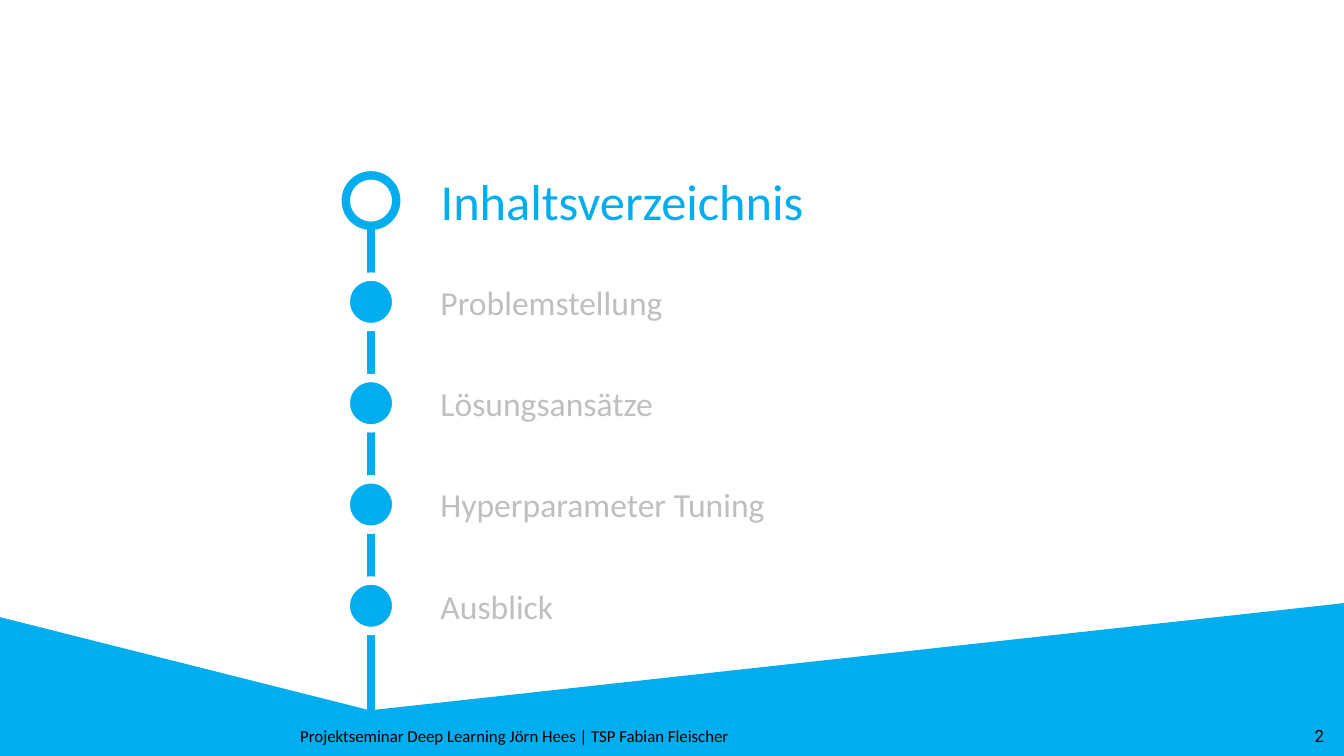
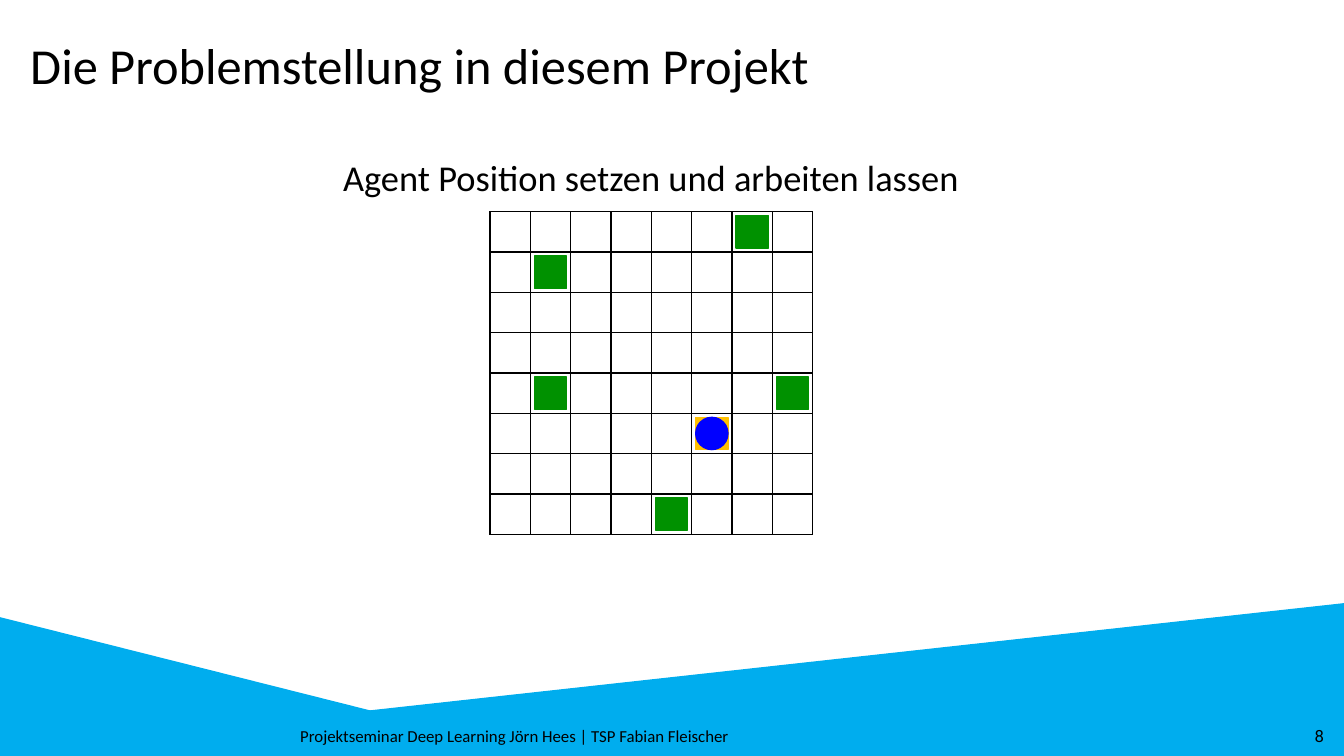
from dataclasses import dataclass

from lxml import etree
from pptx import Presentation
from pptx.dml.color import RGBColor
from pptx.enum import shapes, text
from pptx.oxml import ns
from pptx.util import Inches, Pt


@dataclass(frozen=True)
class Theme:
    blue: str = "00ADEE"
    white: str = "FFFFFF"
    black: str = "000000"
    grey: str = "BFBFBF"
    green: str = "009100"
    amber: str = "FFC000"
    agent: str = "0000FF"
    font: str = "Calibri"
    number_font: str = "Roboto"
    title: int = 36
    caption: int = 26
    entry: int = 24
    footer: int = 12


theme = Theme()
preset = shapes.MSO_SHAPE
align = text.PP_ALIGN
anchor = text.MSO_ANCHOR


def add_filled(slide, kind, box, fill, line=None, width=1):
    shape = slide.shapes.add_shape(kind, *map(Inches, box))
    shape.shadow.inherit = False
    shape.fill.solid()
    shape.fill.fore_color.rgb = RGBColor.from_string(fill)
    shape.line.color.rgb = RGBColor.from_string(line or fill)
    shape.line.width = Pt(width)
    return shape


def write_text(shape, box, words, size, color, alignment=align.LEFT,
               vertical=anchor.TOP, font=theme.font):
    shape.left, shape.top, shape.width, shape.height = map(Inches, box)
    frame = shape.text_frame
    frame.word_wrap = True
    frame.auto_size = text.MSO_AUTO_SIZE.NONE
    frame.vertical_anchor = vertical
    paragraph = frame.paragraphs[0]
    paragraph.alignment = alignment
    run = paragraph.add_run()
    run.text = words
    run.font.name = font
    run.font.size = Pt(size)
    run.font.color.rgb = RGBColor.from_string(color)


presentation = Presentation()
presentation.slide_width = Inches(13.33)
presentation.slide_height = Inches(7.5)
title_only = presentation.slide_layouts[5]

contents = presentation.slides.add_slide(title_only)
problem = presentation.slides.add_slide(title_only)

band = [
    (preset.RECTANGLE, (0, 7.11, 13.33, 0.39), False),
    (preset.RIGHT_TRIANGLE, (0, 6.13, 3.85, 0.97), False),
    (preset.RIGHT_TRIANGLE, (3.25, 5.99, 10.08, 1.11), True),
]
master_tree = presentation.slide_master.shapes.element
for index, (kind, box, flipped) in enumerate(band):
    shape = add_filled(contents, kind, box, theme.blue)
    if flipped:
        shape.element.spPr.find(ns.qn("a:xfrm")).set("flipH", "1")
    master_tree.insert(2 + index, shape.element)

pages = [
    (contents, "2", "Inhaltsverzeichnis", (4.27, 1.64, 6.68, 0.71), theme.blue),
    (problem, "8", "Die Problemstellung in diesem Projekt",
     (0.2, 0.29, 11.62, 0.71), theme.black),
]
for slide, number, title, box, color in pages:
    write_text(slide.shapes.title, box, title, theme.title, color)
    footer = slide.shapes.add_textbox(0, 0, 0, 0)
    write_text(footer, (0, 7.1, 10.21, 0.4),
               "Projektseminar Deep Learning Jörn Hees | TSP Fabian Fleischer",
               theme.footer, theme.black, align.CENTER, anchor.MIDDLE)
    page_number = slide.shapes.add_textbox(0, 0, 0, 0)
    write_text(page_number, (10.23, 7.1, 3, 0.4), number, theme.footer,
               theme.black, align.RIGHT, anchor.MIDDLE, theme.number_font)

timeline = contents.shapes.add_connector(
    shapes.MSO_CONNECTOR.STRAIGHT,
    Inches(3.68), Inches(2.24), Inches(3.68), Inches(7.23))
timeline.line.color.rgb = RGBColor.from_string(theme.blue)
timeline.line.width = Pt(6)
etree.SubElement(timeline.element.spPr, ns.qn("a:effectLst"))

marker = preset.FLOWCHART_CONNECTOR
marker_left, marker_top, marker_size, marker_step = 3.43, 1.74, 0.5, 1.005
add_filled(contents, marker, (marker_left, marker_top, marker_size, marker_size),
           theme.white, theme.blue, 6)
entries = ["Problemstellung", "Lösungsansätze", "Hyperparameter Tuning", "Ausblick"]
for index, entry in enumerate(entries, start=1):
    top = marker_top + index * marker_step
    add_filled(contents, marker, (marker_left, top, marker_size, marker_size),
               theme.blue, theme.white, 6)
    label = contents.shapes.add_textbox(0, 0, 0, 0)
    write_text(label, (4.27, top, 6.68, 0.5), entry, theme.entry, theme.grey)

caption = problem.shapes.add_textbox(0, 0, 0, 0)
write_text(caption, (3.28, 1.49, 6.36, 0.54),
           "Agent Position setzen und arbeiten lassen",
           theme.caption, theme.black, align.CENTER)
caption.text_frame.word_wrap = False

grid_left, grid_top, cell_size, count = 4.86, 2.1, 0.4, 8
grid = problem.shapes.add_table(
    count, count, Inches(grid_left), Inches(grid_top),
    Inches(count * cell_size), Inches(count * cell_size)).table
grid.first_row = False
grid.horz_banding = False
for cell in grid.iter_cells():
    cell.margin_left = cell.margin_right = cell.margin_top = cell.margin_bottom = 0
    properties = cell._tc.get_or_add_tcPr()
    for side in ("a:lnL", "a:lnR", "a:lnT", "a:lnB"):
        border = etree.SubElement(properties, ns.qn(side), w=str(Pt(1)))
        fill = etree.SubElement(border, ns.qn("a:solidFill"))
        etree.SubElement(fill, ns.qn("a:srgbClr"), val=theme.black)
    cell.fill.solid()
    cell.fill.fore_color.rgb = RGBColor.from_string(theme.white)

pieces = [
    (4, 7, preset.RECTANGLE, theme.green),
    (7, 4, preset.RECTANGLE, theme.green),
    (0, 6, preset.RECTANGLE, theme.green),
    (4, 1, preset.RECTANGLE, theme.green),
    (1, 1, preset.RECTANGLE, theme.green),
    (5, 5, preset.RECTANGLE, theme.amber),
    (5, 5, preset.OVAL, theme.agent),
]
piece_size = 0.32
inset = (cell_size - piece_size) / 2
for row, column, kind, color in pieces:
    left = grid_left + column * cell_size + inset
    top = grid_top + row * cell_size + inset
    add_filled(problem, kind, (left, top, piece_size, piece_size), color)

presentation.save("out.pptx")
